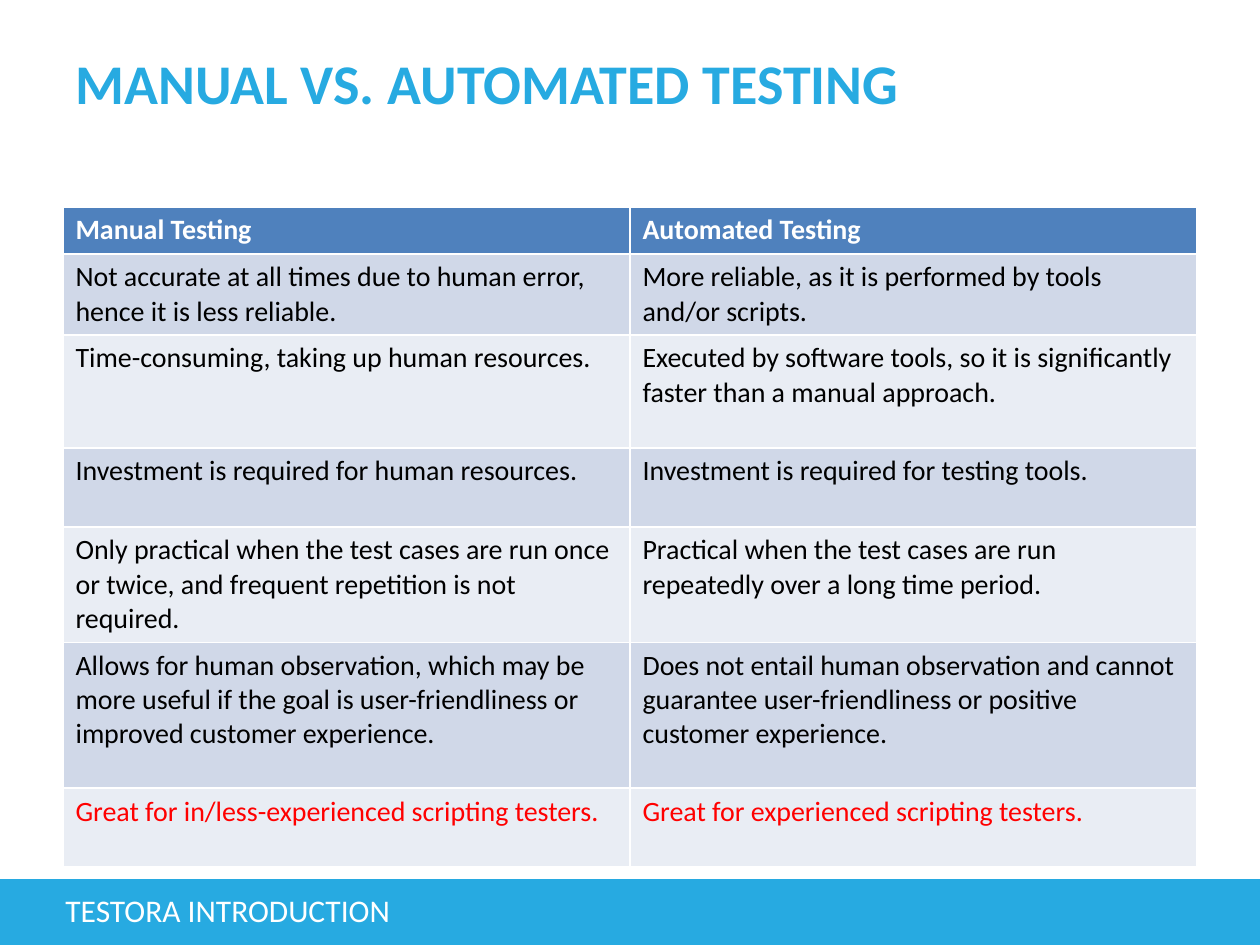
from dataclasses import dataclass

from pptx import Presentation
from pptx.dml.color import RGBColor
from pptx.enum.shapes import MSO_SHAPE
from pptx.enum.text import MSO_ANCHOR, PP_ALIGN
from pptx.util import Emu, Pt

RECT = MSO_SHAPE.RECTANGLE
TOP, MIDDLE = MSO_ANCHOR.TOP, MSO_ANCHOR.MIDDLE
LEFT = PP_ALIGN.LEFT
SCALE = 914400 / 126
FONT = "Calibri"
HEX = {
    "cyan": "27AAE1",
    "head": "4F81BD",
    "dark": "D0D8E8",
    "light": "E9EDF4",
    "white": "FFFFFF",
    "black": "000000",
    "red": "FF0000",
}


@dataclass
class Box:
    left: int
    top: int
    width: int
    height: int

    def emu(self) -> list[Emu]:
        return [px(n) for n in (self.left, self.top, self.width, self.height)]


@dataclass
class Style:
    size: int
    color: str
    bold: bool = False


@dataclass
class Row:
    height: int
    manual: str
    auto: str
    color: str = "black"


ROWS = [
    Row(79, "Not accurate at all times due to human error, hence it is less reliable.",
        "More reliable, as it is performed by tools and/or scripts."),
    Row(113, "Time-consuming, taking up human resources.",
        "Executed by software tools, so it is significantly faster than a manual approach."),
    Row(79, "Investment is required for human resources.",
        "Investment is required for testing tools."),
    Row(113, "Only practical when the test cases are run once or twice, "
        "and frequent repetition is not required.",
        "Practical when the test cases are run repeatedly over a long time period."),
    Row(146, "Allows for human observation, which may be more useful if the goal is "
        "user-friendliness or improved customer experience.",
        "Does not entail human observation and cannot guarantee user-friendliness "
        "or positive customer experience."),
    Row(79, "Great for in/less-experienced scripting testers.",
        "Great for experienced scripting testers.", "red"),
]
HEAD = Row(45, "Manual Testing", "Automated Testing", "white")


def px(n: int) -> Emu:
    return Emu(round(n * SCALE))


def rgb(name: str) -> RGBColor:
    return RGBColor.from_string(HEX[name])


def write(frame, text: str, style: Style) -> None:
    para = frame.paragraphs[0]
    para.alignment = LEFT
    run = para.add_run()
    run.text = text
    font = run.font
    font.name, font.size, font.bold = FONT, Pt(style.size), style.bold
    font.color.rgb = rgb(style.color)


def place(shape, box: Box) -> None:
    shape.left, shape.top, shape.width, shape.height = box.emu()


def add_title(slide, box: Box, text: str) -> None:
    title = slide.shapes.title
    place(title, box)
    title.text_frame.vertical_anchor = MIDDLE
    write(title.text_frame, text, Style(32, "cyan", True))


def add_bar(slide, box: Box) -> None:
    bar = slide.shapes.add_shape(RECT, *box.emu())
    bar.shadow.inherit = False
    bar.fill.solid()
    bar.fill.fore_color.rgb = rgb("cyan")
    bar.line.fill.background()


def add_label(slide, box: Box, text: str) -> None:
    frame = slide.shapes.add_textbox(*box.emu()).text_frame
    frame.word_wrap = True
    frame.vertical_anchor = TOP
    write(frame, text, Style(18, "white"))


def add_grid(slide, box: Box, rows: list[Row]) -> None:
    table = slide.shapes.add_table(len(rows), 2, *box.emu()).table
    for i, row in enumerate(rows):
        table.rows[i].height = px(row.height)
        fill = "head" if i == 0 else "dark" if i % 2 else "light"
        for j, text in enumerate((row.manual, row.auto)):
            cell = table.cell(i, j)
            cell.fill.solid()
            cell.fill.fore_color.rgb = rgb(fill)
            write(cell.text_frame, text, Style(16, row.color, i == 0))


def main() -> None:
    deck = Presentation()
    deck.slide_width, deck.slide_height = px(1260), px(945)
    slide = deck.slides.add_slide(deck.slide_layouts[5])
    rows = [HEAD, *ROWS]
    add_bar(slide, Box(-4, 879, 1271, 82))
    add_title(slide, Box(63, 38, 863, 88), "MANUAL VS. AUTOMATED TESTING")
    add_grid(slide, Box(63, 207, 1134, sum(row.height for row in rows)), rows)
    add_label(slide, Box(53, 885, 769, 60), "TESTORA INTRODUCTION")
    deck.save("out.pptx")


if __name__ == "__main__":
    main()
